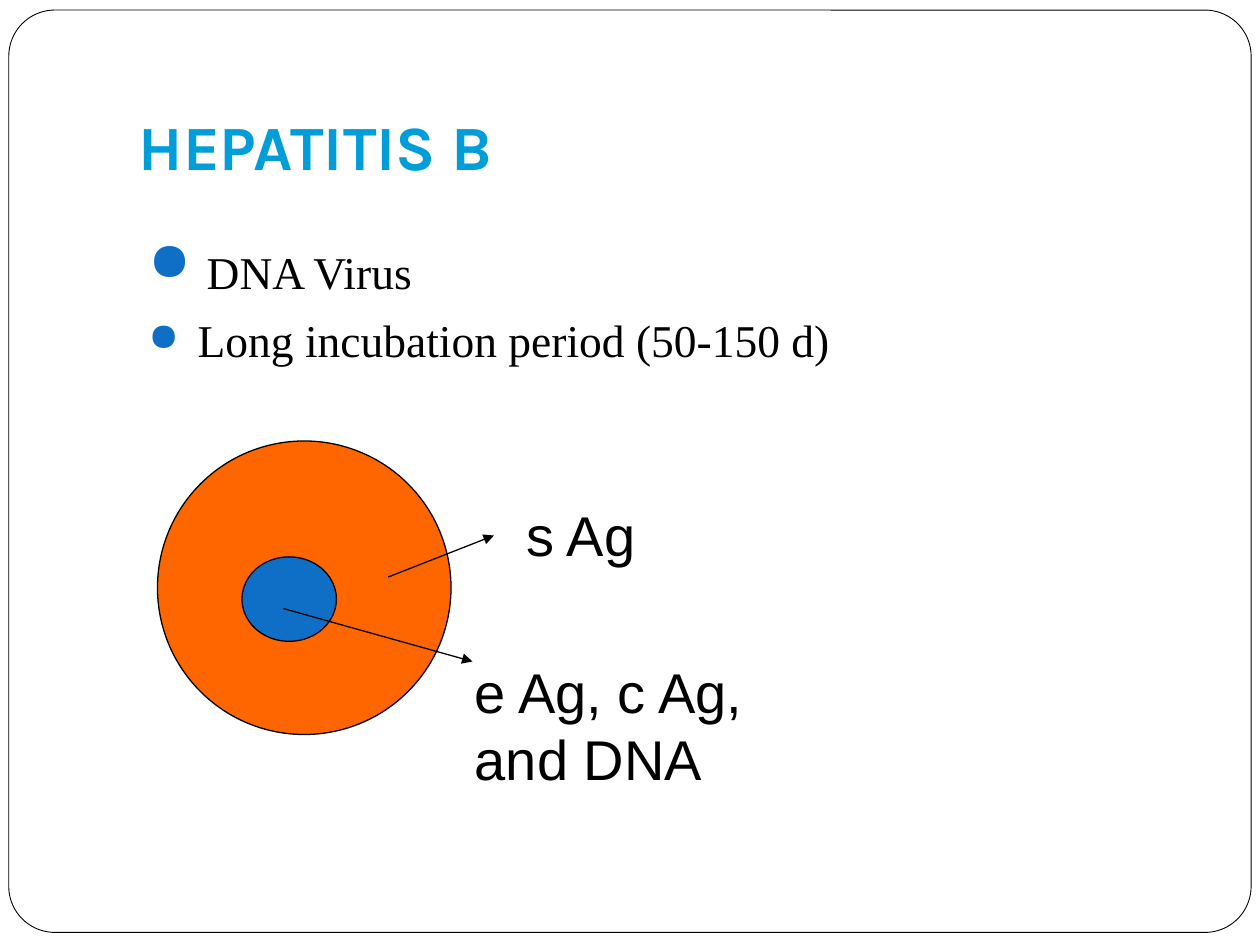
"""Build the Hepatitis B slide with its antigen diagram."""
from dataclasses import dataclass

from lxml.etree import SubElement
from pptx import Presentation
from pptx.dml.color import RGBColor
from pptx.enum.shapes import MSO_CONNECTOR as Connector, MSO_SHAPE as Preset
from pptx.enum.text import MSO_ANCHOR as Anchor, PP_ALIGN as Align
from pptx.oxml.ns import qn
from pptx.slide import Slide
from pptx.util import Inches, Pt


@dataclass(frozen=True)
class Theme:
    ink: RGBColor = RGBColor(0, 0, 0)
    paper: RGBColor = RGBColor(255, 255, 255)
    heading: RGBColor = RGBColor(0x00, 0x9D, 0xD9)
    core: RGBColor = RGBColor(0x0F, 0x6F, 0xC6)
    envelope: RGBColor = RGBColor(0xFF, 0x66, 0x00)
    heading_font: str = "Karla"
    body_font: str = "Times New Roman"
    label_font: str = "Arial"
    heading_size: int = 36
    lead_size: int = 36
    body_size: int = 26
    label_size: int = 32
    frame_line: float = 0.5
    line: float = 0.75


@dataclass(frozen=True)
class Box:
    left: float
    top: float
    width: float
    height: float

    def lengths(self) -> list[int]:
        return [Inches(v) for v in (self.left, self.top, self.width, self.height)]


@dataclass(frozen=True)
class Outline:
    preset: Preset
    box: Box
    fill: RGBColor
    weight: float


@dataclass(frozen=True)
class Antigen:
    text: str
    box: Box
    start: tuple[float, float]
    end: tuple[float, float]


THEME = Theme()
FRAME = Outline(Preset.ROUNDED_RECTANGLE, Box(0.07, 0.08, 9.86, 7.32), THEME.paper, THEME.frame_line)
VIRUS = (
    Outline(Preset.OVAL, Box(1.25, 3.5, 2.33, 2.33), THEME.envelope, THEME.line),
    Outline(Preset.OVAL, Box(1.92, 4.42, 0.75, 0.67), THEME.core, THEME.line),
)
ANTIGENS = (
    Antigen("s Ag", Box(4.08, 3.92, 3.25, 0.64), (3.08, 4.58), (3.92, 4.25)),
    Antigen("e Ag, c Ag, and DNA", Box(3.67, 5.17, 3.08, 1.17), (2.25, 4.83), (3.75, 5.25)),
)
FACTS = ((" ", "DNA Virus"), (" Long incubation period (50-150 d)",))


def style(font, name: str, size: float, color: RGBColor) -> None:
    font.name, font.size, font.color.rgb = name, Pt(size), color


def draw_outline(slide: Slide, outline: Outline):
    shape = slide.shapes.add_shape(outline.preset, *outline.box.lengths())
    shape.shadow.inherit = False
    shape.fill.solid()
    shape.fill.fore_color.rgb = outline.fill
    shape.line.color.rgb = THEME.ink
    shape.line.width = Pt(outline.weight)
    return shape


def draw_title(slide: Slide, text: str) -> None:
    title = slide.shapes.title
    title.left, title.top, title.width, title.height = Box(1, 0.3, 8.5, 1.25).lengths()
    frame = title.text_frame
    frame.text = text
    frame.vertical_anchor = Anchor.BOTTOM
    frame.margin_bottom = Inches(0.1)
    heading = frame.paragraphs[0]
    heading.alignment = Align.LEFT
    style(heading.runs[0].font, THEME.heading_font, THEME.heading_size, THEME.heading)
    heading.runs[0].font.bold = True


def add_bullet(paragraph) -> None:
    props = paragraph._p.get_or_add_pPr()
    props.set("marL", str(Inches(0.3)))
    props.set("indent", str(Inches(-0.3)))
    color = SubElement(props, qn("a:buClr"))
    SubElement(color, qn("a:srgbClr"), val=str(THEME.core))
    SubElement(props, qn("a:buSzPct"), val="85000")
    SubElement(props, qn("a:buChar"), char="●")


def draw_facts(slide: Slide) -> None:
    frame = slide.shapes.add_textbox(*Box(1.08, 1.75, 7.67, 4.5).lengths()).text_frame
    frame.word_wrap = True
    for index, parts in enumerate(FACTS):
        fact = frame.add_paragraph() if index else frame.paragraphs[0]
        if index:
            fact.space_before = Pt(5.8)
        add_bullet(fact)
        for part in parts:
            run = fact.add_run()
            run.text = part
            size = THEME.body_size if part.strip() else THEME.lead_size
            style(run.font, THEME.body_font, size, THEME.ink)


def draw_antigen(slide: Slide, antigen: Antigen) -> None:
    ends = [Inches(v) for v in antigen.start + antigen.end]
    arrow = slide.shapes.add_connector(Connector.STRAIGHT, *ends)
    arrow.line.color.rgb = THEME.ink
    arrow.line.width = Pt(THEME.line)
    SubElement(arrow.line._get_or_add_ln(), qn("a:tailEnd"), type="triangle")
    SubElement(arrow._element.spPr, qn("a:effectLst"))
    frame = slide.shapes.add_textbox(*antigen.box.lengths()).text_frame
    frame.word_wrap = True
    frame.text = antigen.text
    style(frame.paragraphs[0].runs[0].font, THEME.label_font, THEME.label_size, THEME.ink)


def main() -> None:
    deck = Presentation()
    deck.slide_width, deck.slide_height = Inches(10), Inches(7.5)
    slide = deck.slides.add_slide(deck.slide_layouts[5])
    border = draw_outline(slide, FRAME)
    border.adjustments[0] = 0.05
    tree = slide.shapes._spTree
    tree.remove(border._element)
    tree.insert(2, border._element)
    draw_title(slide, "HEPATITIS B")
    draw_facts(slide)
    for layer in VIRUS:
        draw_outline(slide, layer)
    for antigen in ANTIGENS:
        draw_antigen(slide, antigen)
    deck.save("out.pptx")


if __name__ == "__main__":
    main()
